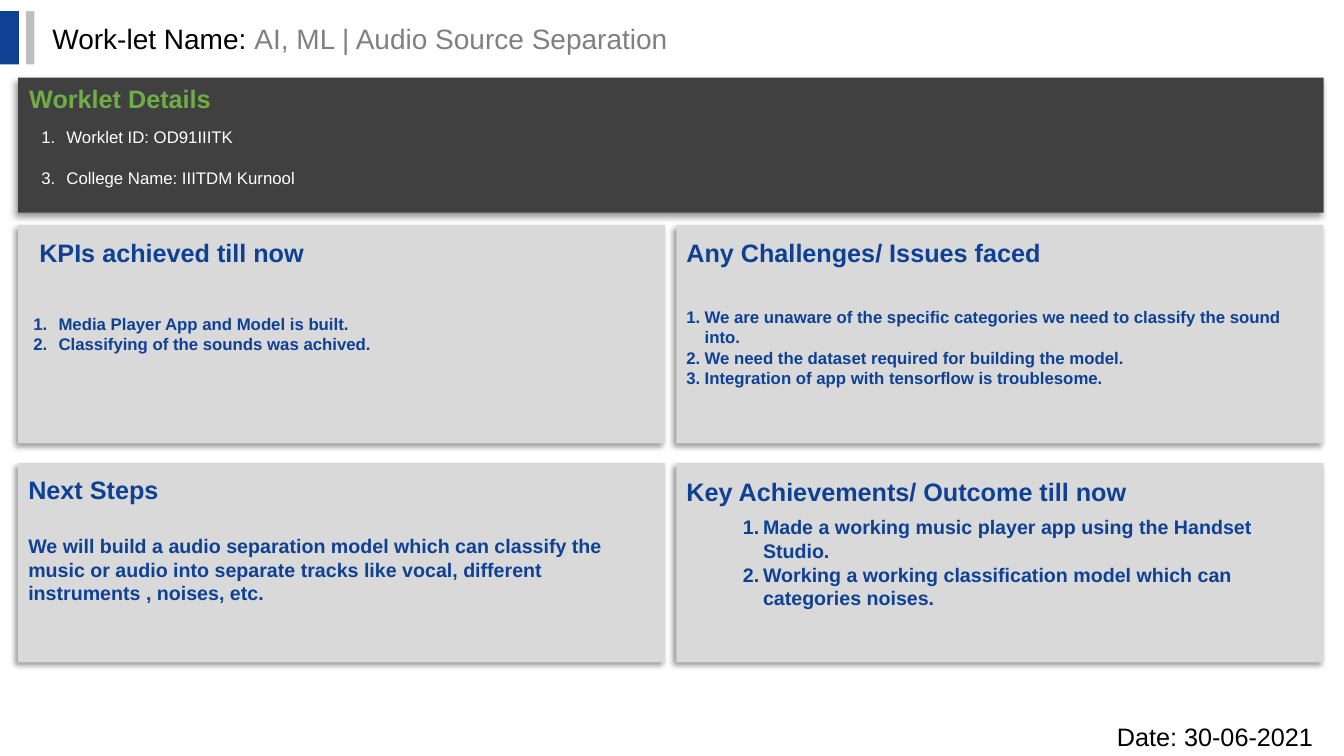
from dataclasses import dataclass

from lxml.etree import SubElement
from pptx import Presentation
from pptx.dml.color import RGBColor
from pptx.enum.shapes import MSO_SHAPE
from pptx.enum.text import MSO_ANCHOR, MSO_AUTO_SIZE, PP_ALIGN
from pptx.oxml.ns import qn
from pptx.util import Pt


@dataclass(frozen=True)
class Theme:
    font: str = "Arial"
    blue: str = "0E4094"
    green: str = "70AD47"
    black: str = "000000"
    white: str = "FFFFFF"
    gray: str = "808080"
    dark: str = "404040"
    panel: str = "D9D9D9"
    bar: str = "BFBFBF"
    title: int = 20
    heading: int = 18
    body: int = 14
    small: int = 12
    inset: float = 3.6


class SlideBuilder:
    def __init__(self, theme, page):
        self.theme = theme
        self.page = page

    def rectangle(self, left, top, width, height, color, shadow=False):
        box = self.page.shapes.add_shape(
            MSO_SHAPE.RECTANGLE, Pt(left), Pt(top), Pt(width), Pt(height))
        box.fill.solid()
        box.fill.fore_color.rgb = RGBColor.from_string(color)
        box.line.fill.background()
        box.shadow.inherit = False
        if shadow:
            effects = box._element.spPr.find(qn("a:effectLst"))
            outer = SubElement(effects, qn("a:outerShdw"), blurRad=str(Pt(4)),
                               dist=str(Pt(3)), dir=str(135 * 60000),
                               algn="tr", rotWithShape="0")
            tint = SubElement(outer, qn("a:srgbClr"), val=self.theme.black)
            SubElement(tint, qn("a:alpha"), val="40000")

    def frame(self, box, anchor, wrap=True):
        frame = box.text_frame
        frame.word_wrap = wrap
        frame.auto_size = MSO_AUTO_SIZE.SHAPE_TO_FIT_TEXT
        frame.vertical_anchor = anchor
        frame.margin_left = frame.margin_right = Pt(self.theme.inset)
        frame.margin_top = frame.margin_bottom = Pt(self.theme.inset)
        return frame

    def style(self, font, size, color, bold=False):
        font.name = self.theme.font
        font.size = Pt(size)
        font.bold = bold
        font.color.rgb = RGBColor.from_string(color)

    def title(self, left, top, width, height, parts):
        box = self.page.shapes.title
        box.left, box.top, box.width, box.height = map(Pt, (left, top, width, height))
        para = self.frame(box, MSO_ANCHOR.MIDDLE).paragraphs[0]
        para.alignment = PP_ALIGN.LEFT
        for text, color in parts:
            span = para.add_run()
            span.text = text
            self.style(span.font, self.theme.title, color)

    def text(self, left, top, width, height, lines, size, color, bold=True,
             anchor=MSO_ANCHOR.TOP, wrap=True):
        box = self.page.shapes.add_textbox(Pt(left), Pt(top), Pt(width), Pt(height))
        frame = self.frame(box, anchor, wrap)
        for index, line in enumerate(lines):
            para = frame.paragraphs[0] if index == 0 else frame.add_paragraph()
            para.text = line
            self.style(para.font, size, color, bold)
        return frame.paragraphs

    def heading(self, left, top, width, text, color):
        self.text(left, top, width, 29.2, [text], self.theme.heading, color, wrap=False)

    def numbered(self, left, top, width, height, lines, size, color, indent, hang,
                 starts=None, gap=0, **options):
        paras = self.text(left, top, width, height, lines, size, color, **options)
        for index, para in enumerate(paras):
            if index:
                para.space_before = Pt(gap)
            props = para._p.get_or_add_pPr()
            props.set("marL", str(Pt(indent)))
            props.set("indent", str(Pt(-hang)))
            bullet = SubElement(props, qn("a:buAutoNum"), type="arabicPeriod")
            if starts:
                bullet.set("startAt", str(starts[index]))
            # Bullets come before the default run properties in the schema
            default = props.find(qn("a:defRPr"))
            if default is not None:
                default.addprevious(bullet)


def main():
    theme = Theme()
    deck = Presentation()
    deck.slide_width, deck.slide_height = Pt(960), Pt(540)
    page = deck.slides.add_slide(deck.slide_layouts[5])
    slide = SlideBuilder(theme, page)
    left_column, right_column, panel_width = 13, 483.1, 462.2
    text_width = 455

    # Title and its accent bars
    slide.rectangle(0, 8, 13.5, 38, theme.blue)
    slide.rectangle(18.7, 8, 5.8, 38, theme.bar)
    slide.title(33.8, 11.5, 782, 31, [("Work-let Name: ", theme.black),
                                      ("AI, ML | Audio Source Separation", theme.gray)])

    # Worklet details
    slide.rectangle(left_column, 55.4, 932.4, 96.5, theme.dark, shadow=True)
    slide.heading(17.3, 56.2, 138.2, "Worklet Details", theme.green)
    slide.numbered(25.9, 87.1, 321, 49, ["Worklet ID: OD91IIITK",
                                         "College Name: IIITDM Kurnool"],
                   theme.small, theme.white, 18, 18, starts=[1, 3], gap=14.5, bold=False)

    # Four panels
    for left in (left_column, right_column):
        for top, height in ((160.6, 156.2), (330.8, 142.4)):
            slide.rectangle(left, top, panel_width, height, theme.panel, shadow=True)

    # KPIs
    slide.heading(24.5, 166.3, 197.3, "KPIs achieved till now", theme.blue)
    slide.numbered(20.2, 220.3, text_width, 36,
                   ["Media Player App and Model is built.",
                    "Classifying of the sounds was achived."],
                   theme.small, theme.blue, 18, 18, anchor=MSO_ANCHOR.MIDDLE)

    # Challenges
    slide.heading(486.7, 166.3, 261.4, "Any Challenges/ Issues faced", theme.blue)
    slide.numbered(486.7, 215.3, text_width, 65.5,
                   ["We are unaware of the specific categories we need to classify the sound into.",
                    "We need the dataset required for building the model.",
                    "Integration of app with tensorflow is troublesome."],
                   theme.small, theme.blue, 13, 13, anchor=MSO_ANCHOR.MIDDLE)

    # Next steps
    steps = slide.text(16.6, 335.5, text_width, 102.2,
                       ["Next Steps",
                        "We will build a audio separation model which can classify the music or audio "
                        "into separate tracks like vocal, different instruments , noises, etc."],
                       theme.body, theme.blue)
    steps[0].font.size = Pt(theme.heading)
    steps[1].space_before = Pt(21)

    # Key achievements
    slide.heading(486.7, 337, 322.6, "Key Achievements/ Outcome till now", theme.blue)
    slide.numbered(486.7, 364.3, text_width, 74.9,
                   ["Made a working music player app using the Handset Studio.",
                    "Working a working classification model which can categories noises."],
                   theme.body, theme.blue, 54.7, 14.4, anchor=MSO_ANCHOR.MIDDLE)

    # Date
    slide.text(794.2, 511.2, 162, 29.2, ["Date: 30-06-2021"], theme.heading,
               theme.black, bold=False, anchor=MSO_ANCHOR.MIDDLE)

    deck.save("out.pptx")


if __name__ == "__main__":
    main()
